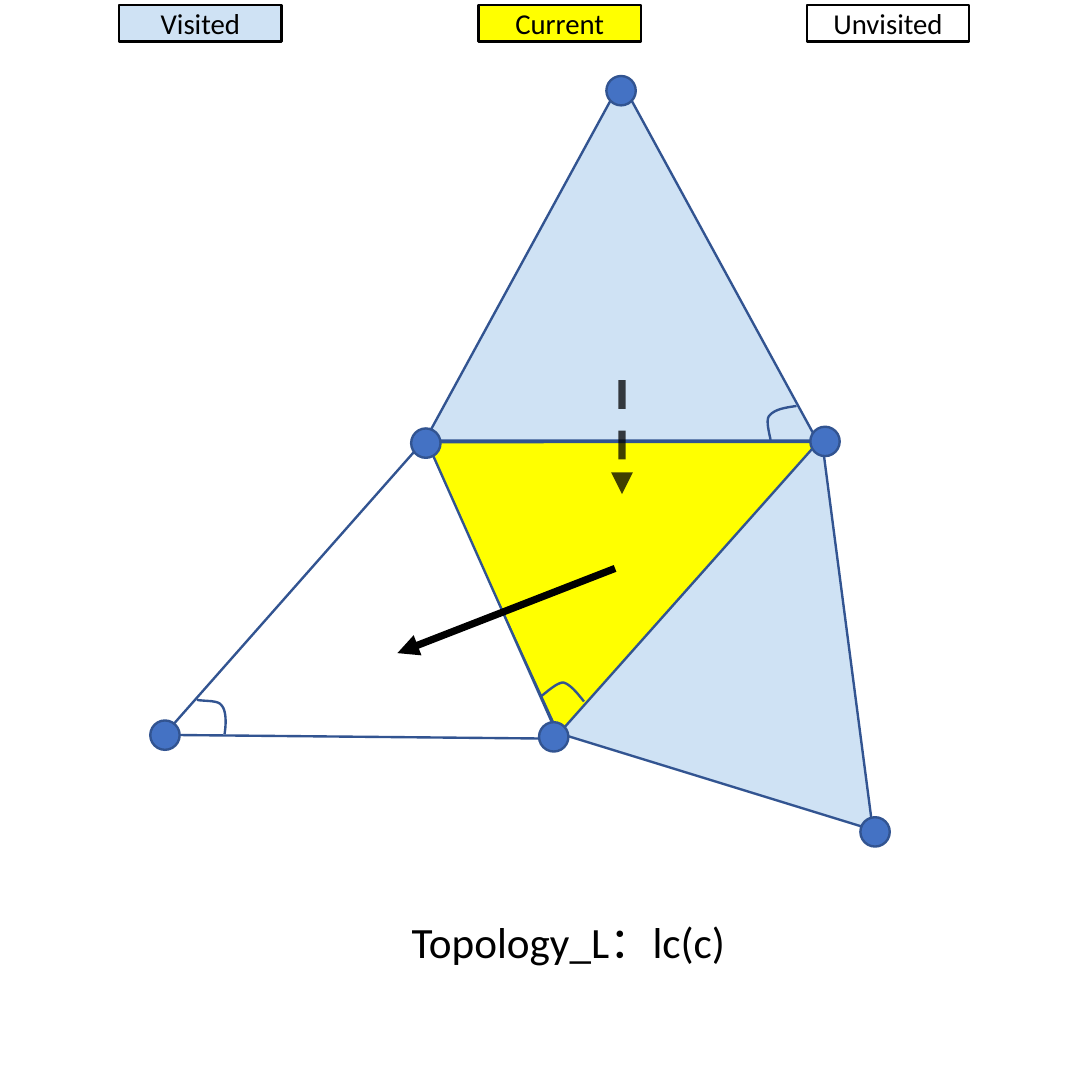
from lxml import etree
from pptx import Presentation
from pptx import util as u
from pptx.dml.color import RGBColor
from pptx.enum import dml, shapes, text
from pptx.oxml.ns import qn

EDGE, NODE, BLACK = "325491", "4472C4", "000000"
VISITED, CURRENT, UNVISITED = "CFE2F4", "FFFF00", "FFFFFF"
NODE_SIZE = 0.17


def rgb(value):
    """Turn a hex string into a colour."""
    return RGBColor.from_string(value)


def inches(*lengths):
    """Convert several lengths to Inches."""
    return [u.Inches(length) for length in lengths]


def style_line(item, colour, width=1):
    """Set the colour and width of an outline."""
    item.line.color.rgb = rgb(colour)
    item.line.width = u.Pt(width)


def write(frame, words, size):
    """Put centred black text in a frame without margins."""
    frame.text = words
    frame.word_wrap = True
    frame.margin_left = frame.margin_right = frame.margin_top = frame.margin_bottom = 0
    paragraph = frame.paragraphs[0]
    paragraph.alignment = text.PP_ALIGN.CENTER
    font = paragraph.runs[0].font
    font.name, font.size = "Calibri", u.Pt(size)
    font.color.rgb = rgb(BLACK)


def add_filled(slide, preset, box, fill, edge=EDGE, rotation=0):
    """Add a flat preset shape with a fill and an outline."""
    shape = slide.shapes.add_shape(preset, *inches(*box))
    shape.shadow.inherit = False
    shape.rotation = rotation
    shape.fill.solid()
    shape.fill.fore_color.rgb = rgb(fill)
    style_line(shape, edge)
    return shape


def add_legend(slide, left, label, fill):
    """Add one labelled key of the legend."""
    key = add_filled(slide, shapes.MSO_SHAPE.RECTANGLE, (left, 0.03, 0.94, 0.21), fill, BLACK)
    write(key.text_frame, label, 12)
    key.text_frame.vertical_anchor = text.MSO_ANCHOR.MIDDLE


def bezier(p0, p1, p2, p3, steps=12):
    """Return the points of a cubic curve after its start."""
    points = []
    for step in range(1, steps + 1):
        t = step / steps
        weights = ((1 - t) ** 3, 3 * t * (1 - t) ** 2, 3 * t ** 2 * (1 - t), t ** 3)
        points.append(tuple(
            u.Inches(sum(w * p[axis] for w, p in zip(weights, (p0, p1, p2, p3))))
            for axis in (0, 1)))
    return points


def add_angle_mark(slide, knots):
    """Draw an open angle mark through two joined cubic curves."""
    builder = slide.shapes.build_freeform(*inches(*knots[0]))
    builder.add_line_segments(bezier(*knots[:4]) + bezier(*knots[3:]), close=False)
    mark = builder.convert_to_shape()
    mark.shadow.inherit = False
    mark.fill.background()
    style_line(mark, EDGE)


def add_arrow(slide, start, end):
    """Add a thick black arrow and return it."""
    arrow = slide.shapes.add_connector(shapes.MSO_CONNECTOR.STRAIGHT, *inches(*start, *end))
    style_line(arrow, BLACK, 3)
    etree.SubElement(arrow.line._get_or_add_ln(), qn("a:tailEnd"), type="triangle")
    etree.SubElement(arrow._element.spPr, qn("a:effectLst"))
    return arrow


def fade_and_dash(arrow):
    """Make an arrow dashed and partly transparent."""
    arrow.line.dash_style = dml.MSO_LINE.DASH
    colour = arrow._element.spPr.find(".//" + qn("a:srgbClr"))
    etree.SubElement(colour, qn("a:alpha"), val="75000")


def main():
    """Build the mesh traversal slide."""
    deck = Presentation()
    deck.slide_width = deck.slide_height = u.Inches(6.32)
    slide = deck.slides.add_slide(deck.slide_layouts[6])

    caption = slide.shapes.add_textbox(*inches(2.37, 5.3, 1.84, 0.3))
    write(caption.text_frame, "Topology_L：lc(c)", 18)

    for left, top, width, rotation, fill in (
        (2.85, 1.95, 1.9, 65.4, CURRENT),
        (2.46, 0.47, 2.27, 0, VISITED),
        (3.5, 2.49, 1.9, 17.1, VISITED),
        (0.95, 2.79, 1.9, 246, UNVISITED),
    ):
        add_filled(slide, shapes.MSO_SHAPE.ISOSCELES_TRIANGLE,
                   (left, top, width, 2.08), fill, rotation=rotation)

    for left, top in ((4.69, 2.47), (3.12, 4.18), (2.38, 2.48),
                      (3.51, 0.44), (0.87, 4.17), (4.98, 4.73)):
        add_filled(slide, shapes.MSO_SHAPE.OVAL, (left, top, NODE_SIZE, NODE_SIZE), NODE)

    add_legend(slide, 0.69, "Visited", VISITED)
    add_legend(slide, 4.67, "Unvisited", UNVISITED)
    add_legend(slide, 2.77, "Current", CURRENT)

    add_angle_mark(slide, [(3.38, 4.06), (3.34, 4.01), (3.3, 3.96), (3.26, 3.95),
                           (3.22, 3.95), (3.15, 4.02), (3.13, 4.03)])
    fade_and_dash(add_arrow(slide, (3.6, 2.2), (3.6, 2.86)))
    add_angle_mark(slide, [(1.3, 4.25), (1.31, 4.18), (1.31, 4.11), (1.28, 4.08),
                           (1.26, 4.05), (1.16, 4.06), (1.14, 4.05)])
    add_angle_mark(slide, [(4.61, 2.35), (4.54, 2.36), (4.48, 2.37), (4.45, 2.41),
                           (4.43, 2.44), (4.46, 2.53), (4.46, 2.55)])
    add_arrow(slide, (3.56, 3.29), (2.3, 3.78))

    deck.save("out.pptx")


if __name__ == "__main__":
    main()
